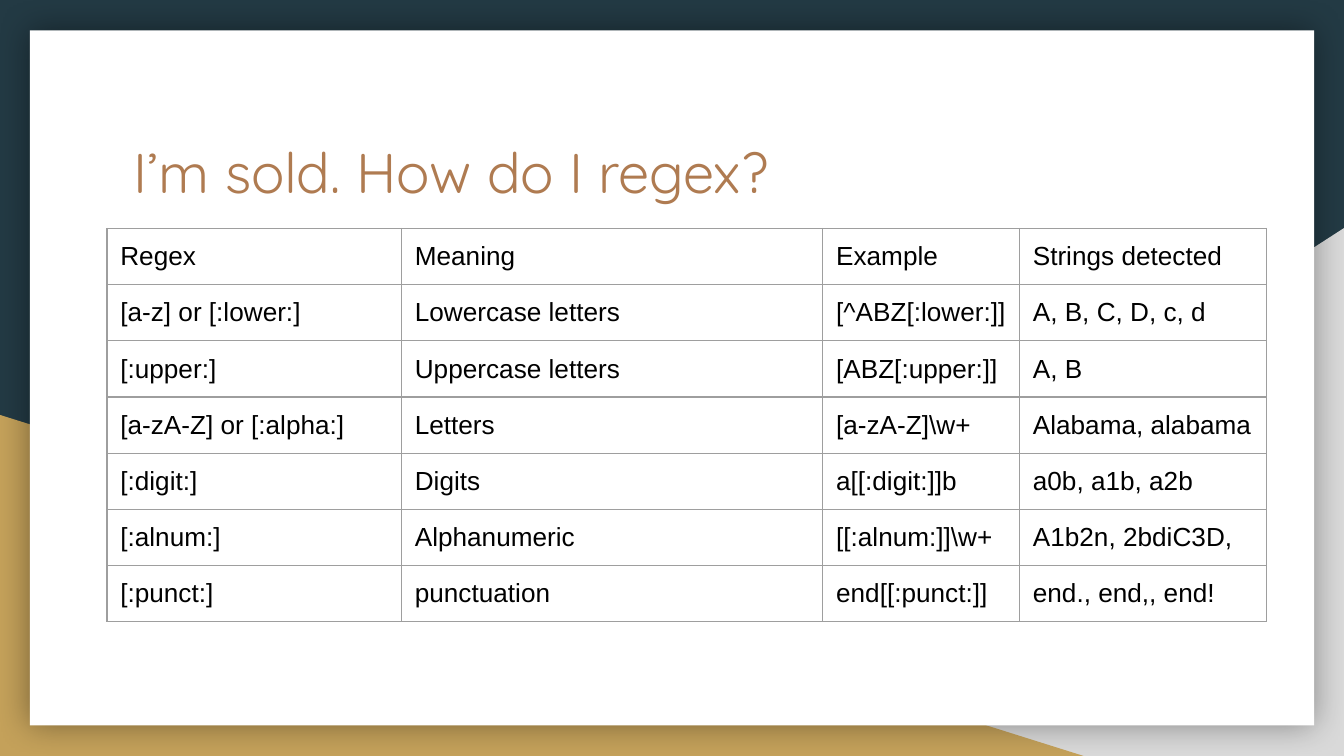
from lxml import etree
from pptx import Presentation
from pptx.dml.color import RGBColor
from pptx.enum.shapes import MSO_SHAPE
from pptx.enum.text import MSO_ANCHOR, PP_ALIGN
from pptx.oxml import parse_xml
from pptx.util import Pt

RECTANGLE = MSO_SHAPE.RECTANGLE
RIGHT_TRIANGLE = MSO_SHAPE.RIGHT_TRIANGLE
TOP = MSO_ANCHOR.TOP
LEFT = PP_ALIGN.LEFT
NAMESPACE = "http://schemas.openxmlformats.org/drawingml/2006/main"
INSET = Pt(7.18)
ROW_HEIGHT = Pt(30)


def color(hex_string):
    return RGBColor.from_string(hex_string)


def write_text(text_frame, text, size, font, hex_color):
    paragraph = text_frame.paragraphs[0]
    paragraph.alignment = LEFT
    run = paragraph.add_run()
    run.text = text
    run.font.size = Pt(size)
    run.font.name = font
    run.font.color.rgb = color(hex_color)


presentation = Presentation()
presentation.slide_width = Pt(720)
presentation.slide_height = Pt(405)
layout = presentation.slide_layouts[5]
slide = presentation.slides.add_slide(layout)
slide.background.fill.solid()
slide.background.fill.fore_color.rgb = color("233A44")

# The layout keeps only its title; date, footer and number are not used
layout_title, *unused_placeholders = layout.placeholders
for placeholder in unused_placeholders:
    placeholder.element.getparent().remove(placeholder.element)

# Backdrop in the layout: two corner triangles under a white panel
backdrop = [
    (RIGHT_TRIANGLE, 282, 122.2, 438, 282.8, "D9D9D9"),
    (RIGHT_TRIANGLE, 0, 222.3, 580.5, 182.7, "C4A15A"),
    (RECTANGLE, 16, 16.3, 688, 372.4, "FFFFFF"),
]
backdrop_shapes = []
for kind, left, top, width, height, fill in backdrop:
    shape = slide.shapes.add_shape(kind, Pt(left), Pt(top), Pt(width), Pt(height))
    shape.shadow.inherit = False
    shape.fill.solid()
    shape.fill.fore_color.rgb = color(fill)
    shape.line.fill.background()
    layout_title.element.addprevious(shape.element)
    backdrop_shapes.append(shape)

right_corner, left_corner, panel = backdrop_shapes
right_corner.element.spPr.xfrm.set("flipH", "1")
effects = panel.element.spPr.find(f"{{{NAMESPACE}}}effectLst")
effects.append(parse_xml(
    f'<a:outerShdw xmlns:a="{NAMESPACE}" blurRad="{Pt(18)}" dist="0" dir="0" algn="ctr" '
    'rotWithShape="0"><a:srgbClr val="000000"><a:alpha val="40000"/></a:srgbClr></a:outerShdw>'
))

title = slide.shapes.title
title.left, title.top, title.width, title.height = Pt(64.6), Pt(66.5), Pt(591), Pt(75)
title_frame = title.text_frame
title_frame.word_wrap = True
title_frame.vertical_anchor = TOP
title_frame.margin_left = title_frame.margin_right = INSET
title_frame.margin_top = title_frame.margin_bottom = INSET
write_text(title_frame, "I’m sold. How do I regex?", size=30, font="Quicksand", hex_color="AF7B51")

# Table of character classes
rows = [
    ("Regex", "Meaning", "Example", "Strings detected"),
    ("[a-z] or [:lower:]", "Lowercase letters", "[^ABZ[:lower:]]", "A, B, C, D, c, d"),
    ("[:upper:]", "Uppercase letters", "[ABZ[:upper:]]", "A, B"),
    ("[a-zA-Z] or [:alpha:]", "Letters", r"[a-zA-Z]\w+", "Alabama, alabama"),
    ("[:digit:]", "Digits", "a[[:digit:]]b", "a0b, a1b, a2b"),
    ("[:alnum:]", "Alphanumeric", r"[[:alnum:]]\w+", "A1b2n, 2bdiC3D,"),
    ("[:punct:]", "punctuation", "end[[:punct:]]", "end., end,, end!"),
]
column_widths = [157.8, 225.7, 105.4, 132.4]
table = slide.shapes.add_table(
    len(rows), len(column_widths), Pt(57.3), Pt(122.4),
    Pt(sum(column_widths)), ROW_HEIGHT * len(rows),
).table
table.first_row = False
table.horz_banding = False
for column, width in zip(table.columns, column_widths):
    column.width = Pt(width)

for row_index, texts in enumerate(rows):
    table.rows[row_index].height = ROW_HEIGHT
    for column_index, text in enumerate(texts):
        cell = table.cell(row_index, column_index)
        cell.margin_left = cell.margin_right = INSET
        cell.margin_top = cell.margin_bottom = INSET
        cell.vertical_anchor = TOP
        cell.fill.background()
        write_text(cell.text_frame, text, size=14, font="Arial", hex_color="000000")
        properties = cell.fill._xPr
        for position, side in enumerate(("lnL", "lnR", "lnT", "lnB")):
            border = etree.Element(f"{{{NAMESPACE}}}{side}", w=str(Pt(0.75)))
            fill = etree.SubElement(border, f"{{{NAMESPACE}}}solidFill")
            etree.SubElement(fill, f"{{{NAMESPACE}}}srgbClr", val="9E9E9E")
            properties.insert(position, border)

presentation.save("out.pptx")
